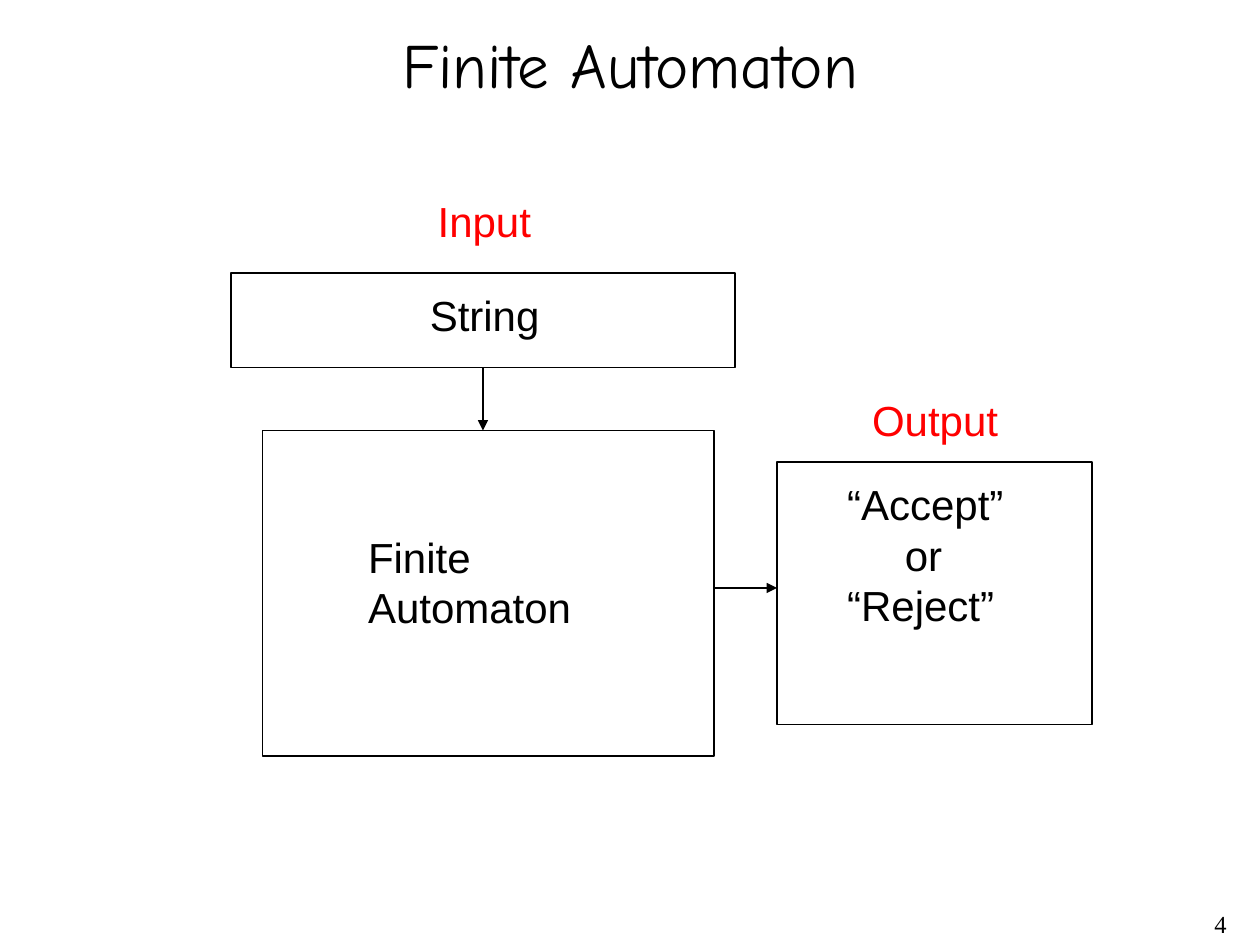
from pptx import Presentation
from pptx.dml.color import RGBColor as Rgb
from pptx.enum.shapes import MSO_CONNECTOR as Conn, MSO_SHAPE as Shape
from pptx.enum.text import MSO_ANCHOR as Anchor, MSO_AUTO_SIZE as Fit
from pptx.enum.text import PP_ALIGN as Align
from pptx.oxml.ns import qn
from pptx.util import Emu, Pt
from lxml.etree import SubElement as Sub

PX = 9525  # 96 px to the inch
COLORS = {"ink": "000000", "label": "FF0000", "paper": "FFFFFF"}


def color(name):
    return Rgb.from_string(COLORS[name])


class Deck:
    font = "Arial"
    size = 24
    line = 0.75

    def __init__(self, wide, high):
        self.prs = Presentation()
        self.prs.slide_width, self.prs.slide_height = self.emu(wide, high)
        self.slide = self.prs.slides.add_slide(self.prs.slide_layouts[6])
        fill = self.slide.background.fill
        fill.solid()
        fill.fore_color.rgb = color("paper")

    def emu(self, *vals):
        return [Emu(val * PX) for val in vals]

    def text(self, at, lines, ink="ink", align=Align.LEFT, inset=0, **style):
        """Write lines; a line that starts with a tab is set in by inset px."""
        frame = self.slide.shapes.add_textbox(*self.emu(*at)).text_frame
        form = {"word_wrap": False, "vertical_anchor": Anchor.TOP,
                "auto_size": Fit.SHAPE_TO_FIT_TEXT}
        for key, val in form.items():
            setattr(frame, key, style.pop(key, val))
        face = {"name": self.font, "size": Pt(self.size)} | style
        for num, line in enumerate(lines):
            para = frame.add_paragraph() if num else frame.paragraphs[0]
            para.alignment = align
            if line.startswith("\t"):
                para._p.get_or_add_pPr().set("marL", str(inset * PX))
            run = para.add_run()
            run.text = line.strip()
            for key, val in face.items():
                setattr(run.font, key, val)
            run.font.color.rgb = color(ink)

    def stroke(self, item):
        item.line.width = Pt(self.line)
        item.line.color.rgb = color("ink")

    def box(self, *at):
        rect = self.slide.shapes.add_shape(Shape.RECTANGLE, *self.emu(*at))
        rect.shadow.inherit = False
        rect.fill.background()
        self.stroke(rect)
        return rect

    def arrow(self, *ends):
        link = self.slide.shapes.add_connector(Conn.STRAIGHT, *self.emu(*ends))
        self.stroke(link)
        Sub(link.line._get_or_add_ln(), qn("a:tailEnd"), type="triangle")
        Sub(link._element.spPr, qn("a:effectLst"))
        return link


def main():
    deck = Deck(960, 720)

    # Title and page number
    fixed = {"word_wrap": True, "auto_size": Fit.NONE}
    deck.text((16, 16, 928, 64), ["Finite Automaton"], align=Align.CENTER,
              name="Comic Neue", size=Pt(36),
              vertical_anchor=Anchor.MIDDLE, **fixed)
    deck.text((744, 688, 200, 32), ["4"], align=Align.RIGHT,
              name="Times New Roman", size=Pt(14), **fixed)

    # Input
    deck.text((324, 144, 91, 48), ["Input"], ink="label")
    source = deck.box(176, 208, 384, 72)
    deck.text((318, 216, 103, 48), ["String"])

    # Machine
    deck.box(200, 328, 344, 248)
    deck.text((271, 400, 174, 86), ["Finite", "Automaton"])

    # Output
    deck.text((655, 296, 115, 48), ["Output"], ink="label")
    deck.box(592, 352, 240, 200)
    deck.text((636, 360, 139, 125), ["“Accept”", "\tor", "“Reject”"], inset=44)

    # Flow
    feed = deck.arrow(368, 280, 368, 328)
    feed.begin_connect(source, 2)
    deck.arrow(544, 448, 592, 448)

    deck.prs.save("out.pptx")


if __name__ == "__main__":
    main()
